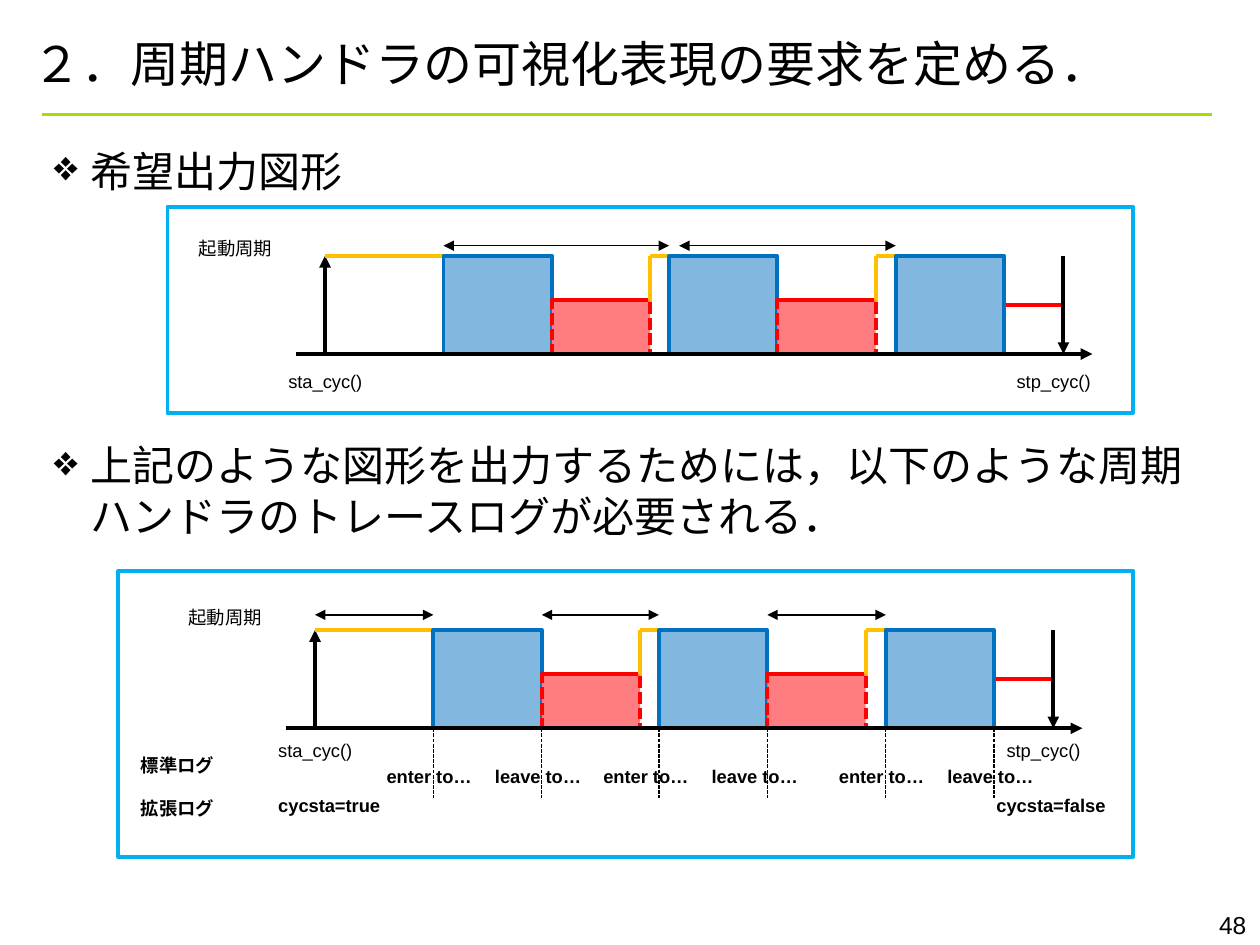
"""Build the slide on cyclic handler timelines and the trace logs they need."""
from dataclasses import dataclass
from typing import Optional

from lxml import etree
from pptx import Presentation, util as u
from pptx.dml.color import RGBColor
from pptx.enum import dml, shapes, text
from pptx.oxml.ns import qn

COLORS = {
    "black": "000000", "rule": "A4DE00", "frame": "00B0F0", "run": "0070C0",
    "ready": "FFC000", "wait": "FF0000", "wait_fill": "FF7C80",
}
CJK = "Noto Sans CJK JP"
BLOCK_STARTS = (0.94, 2.73, 4.53)
BLOCK_WIDTH, BLOCK_HEIGHT = 0.86, 0.78
WAIT_WIDTH, WAIT_HEIGHT = 0.78, 0.43
STOP, MIDDLE = 5.86, 0.39


@dataclass
class Label:
    words: str
    left: float
    top: float
    width: float = 0.86
    height: float = 0.27
    size: float = 10.5
    font: str = "Arial"
    bold: bool = False
    align: text.PP_ALIGN = text.PP_ALIGN.LEFT
    anchor: text.MSO_ANCHOR = text.MSO_ANCHOR.TOP
    bullet: str = ""
    spacing: Optional[float] = None


@dataclass
class Stroke:
    start: tuple[float, float]
    end: tuple[float, float]
    color: str = "black"
    weight: float = 2.25
    ends: tuple[str, ...] = ()
    dashed: bool = False


@dataclass
class Block:
    left: float
    top: float
    width: float
    height: float
    color: str
    fill: str = ""
    alpha: int = 100
    dashed: bool = False


@dataclass
class Timeline:
    left: float
    top: float
    cycle_top: float
    cycles: tuple[tuple[float, float], ...]
    period_top: float
    call_top: float


def rgb(name: str) -> RGBColor:
    return RGBColor.from_string(COLORS[name])


def add_label(page, label: Label) -> None:
    box = page.shapes.add_textbox(*map(u.Inches, (label.left, label.top, label.width, label.height)))
    frame = box.text_frame
    frame.word_wrap = True
    frame.vertical_anchor = label.anchor
    para = frame.paragraphs[0]
    para.alignment = label.align
    if label.spacing:
        para.line_spacing = u.Pt(label.spacing)
    if label.bullet:
        properties = para._p.get_or_add_pPr()
        properties.set("marL", str(u.Inches(0.29)))
        properties.set("indent", str(-u.Inches(0.29)))
        etree.SubElement(properties, qn("a:buChar")).set("char", label.bullet)
    span = para.add_run()
    span.text = label.words
    span.font.size = u.Pt(label.size)
    span.font.bold = label.bold
    span.font.name = label.font
    span.font.color.rgb = rgb("black")
    etree.SubElement(span._r.get_or_add_rPr(), qn("a:ea")).set("typeface", CJK)


def style_line(line, color: str, weight: float, dashed: bool) -> None:
    line.color.rgb = rgb(color)
    line.width = u.Pt(weight)
    if dashed:
        line.dash_style = dml.MSO_LINE.SQUARE_DOT


def add_stroke(page, stroke: Stroke) -> None:
    connector = page.shapes.add_connector(
        shapes.MSO_CONNECTOR.STRAIGHT, *map(u.Inches, stroke.start + stroke.end))
    style_line(connector.line, stroke.color, stroke.weight, stroke.dashed)
    properties = connector.element.spPr
    for end in stroke.ends:
        etree.SubElement(properties.find(qn("a:ln")), qn(f"a:{end}")).set("type", "triangle")
    etree.SubElement(properties, qn("a:effectLst"))


def add_block(page, block: Block) -> None:
    shape = page.shapes.add_shape(
        shapes.MSO_SHAPE.RECTANGLE,
        *map(u.Inches, (block.left, block.top, block.width, block.height)))
    shape.shadow.inherit = False
    style_line(shape.line, block.color, 2.25, block.dashed)
    if not block.fill:
        shape.fill.background()
        return
    shape.fill.solid()
    shape.fill.fore_color.rgb = rgb(block.fill)
    if block.alpha < 100:
        tint = shape.element.spPr.find(qn("a:solidFill")).find(qn("a:srgbClr"))
        etree.SubElement(tint, qn("a:alpha")).set("val", str(block.alpha * 1000))


def add_timeline(page, timeline: Timeline) -> None:
    def stroke(x1: float, y1: float, x2: float, y2: float, color: str = "black",
               ends: tuple[str, ...] = ()) -> None:
        add_stroke(page, Stroke((timeline.left + x1, timeline.top + y1),
                                (timeline.left + x2, timeline.top + y2), color, ends=ends))

    for start, end in timeline.cycles:
        add_stroke(page, Stroke((start, timeline.cycle_top), (end, timeline.cycle_top),
                                weight=0.75, ends=("headEnd", "tailEnd")))
    stroke(0, BLOCK_HEIGHT, 0, 0, ends=("tailEnd",))
    stroke(0, 0, BLOCK_STARTS[0], 0, "ready")
    for start, following in zip(BLOCK_STARTS, BLOCK_STARTS[1:]):
        release = start + BLOCK_WIDTH + WAIT_WIDTH
        stroke(release, MIDDLE, release, 0, "ready")
        stroke(release, 0, following, 0, "ready")
    stroke(BLOCK_STARTS[-1] + BLOCK_WIDTH, MIDDLE, STOP, MIDDLE, "wait")
    stroke(STOP, 0, STOP, BLOCK_HEIGHT, ends=("tailEnd",))
    for start in BLOCK_STARTS:
        add_block(page, Block(timeline.left + start, timeline.top, BLOCK_WIDTH, BLOCK_HEIGHT,
                              "run", "run", alpha=49))
    wait_top = BLOCK_HEIGHT - WAIT_HEIGHT
    for start in BLOCK_STARTS[:-1]:
        wait = start + BLOCK_WIDTH
        add_block(page, Block(timeline.left + wait, timeline.top + wait_top, WAIT_WIDTH,
                              WAIT_HEIGHT, "wait", "wait_fill", dashed=True))
        stroke(wait, wait_top, wait + 0.76, wait_top, "wait")
    stroke(-0.23, BLOCK_HEIGHT, 6.09, BLOCK_HEIGHT, ends=("tailEnd",))
    add_label(page, Label("起動周期", timeline.left - 1.1, timeline.period_top))
    add_label(page, Label("sta_cyc()", timeline.left - 0.39, timeline.call_top))
    add_label(page, Label("stp_cyc()", timeline.left + 5.39, timeline.call_top))


def add_logs(page) -> None:
    for position in (3.44, 4.3, 5.23, 6.09, 7.03, 7.89):
        add_stroke(page, Stroke((position, 5.78), (position, 6.33), weight=0.75, dashed=True))
    for enter in (2.97, 4.69, 6.56):
        add_label(page, Label("enter to…", enter, 6.02, 0.94, bold=True))
        add_label(page, Label("leave to…", enter + 0.86, 6.02, 1.02, bold=True))
    add_label(page, Label("標準ログ", 1.02, 5.94, 1.33, bold=True))
    add_label(page, Label("拡張ログ", 1.02, 6.28, 1.33, bold=True))
    add_label(page, Label("cycsta=true", 2.11, 6.25, 1.02, bold=True))
    add_label(page, Label("cycsta=false", 7.81, 6.25, 1.09, bold=True))


def main() -> None:
    deck = Presentation()
    deck.slide_width, deck.slide_height = u.Inches(10), u.Inches(7.5)
    page = deck.slides.add_slide(deck.slide_layouts[6])
    add_stroke(page, Stroke((0.33, 0.91), (9.62, 0.91), "rule", 1.5))
    add_label(page, Label("48", 9.08, 7.17, 0.91, 0.33, 14, align=text.PP_ALIGN.RIGHT))
    add_label(page, Label("２．周期ハンドラの可視化表現の要求を定める．", 0.16, 0.25, 9.61, 0.5,
                          28, CJK, anchor=text.MSO_ANCHOR.MIDDLE))
    for words, top, height in (
        ("希望出力図形", 1.1, 0.5),
        ("上記のような図形を出力するためには，以下のような周期ハンドラのトレースログが必要される．", 3.44, 0.9),
    ):
        add_label(page, Label(words, 0.33, top, 9.25, height, 24, CJK, bullet="❖", spacing=29))
    add_timeline(page, Timeline(2.58, 2.03, 1.95, ((3.52, 5.31), (5.39, 7.11)), 1.83, 2.89))
    add_logs(page)
    add_timeline(page, Timeline(2.5, 5, 4.88, ((2.5, 3.44), (4.3, 5.23), (6.09, 7.03)), 4.76, 5.82))
    add_block(page, Block(1.33, 1.64, 7.66, 1.64, "frame"))
    add_block(page, Block(0.94, 4.53, 8.05, 2.27, "frame"))
    deck.save("out.pptx")


if __name__ == "__main__":
    main()
